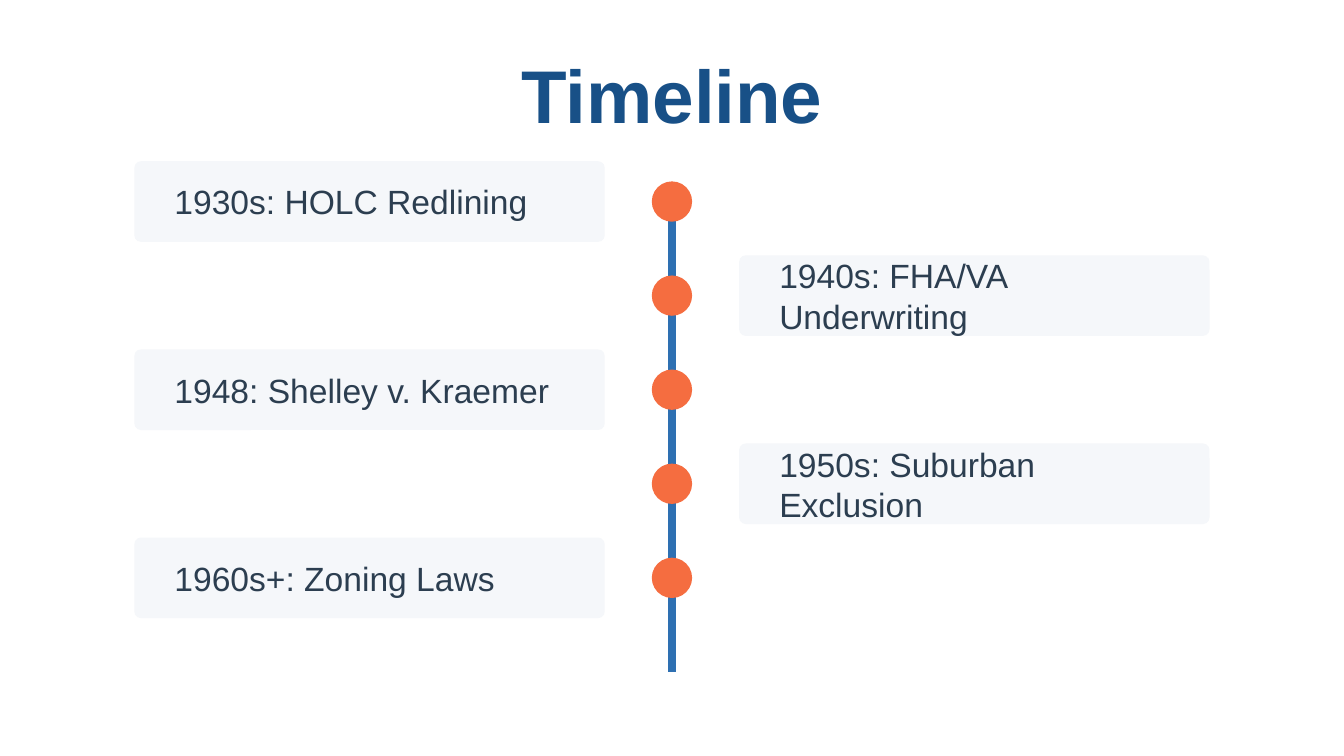
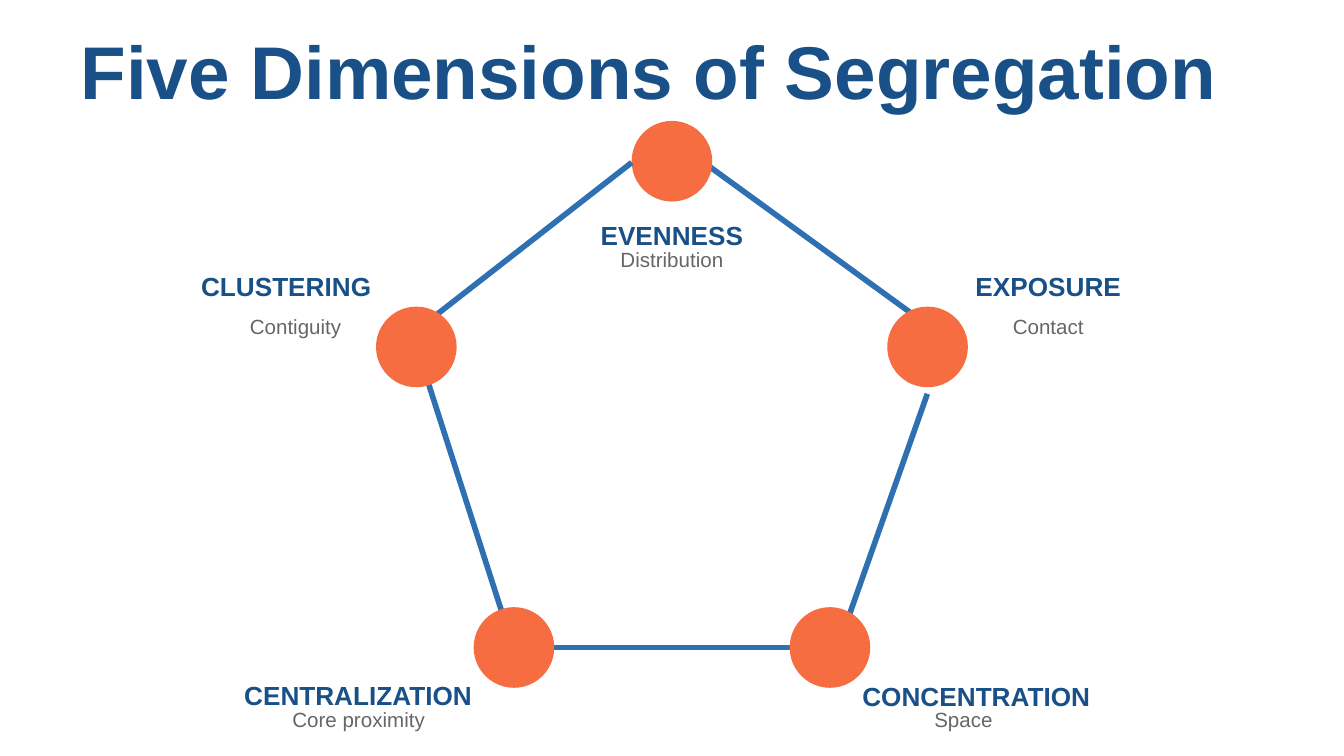
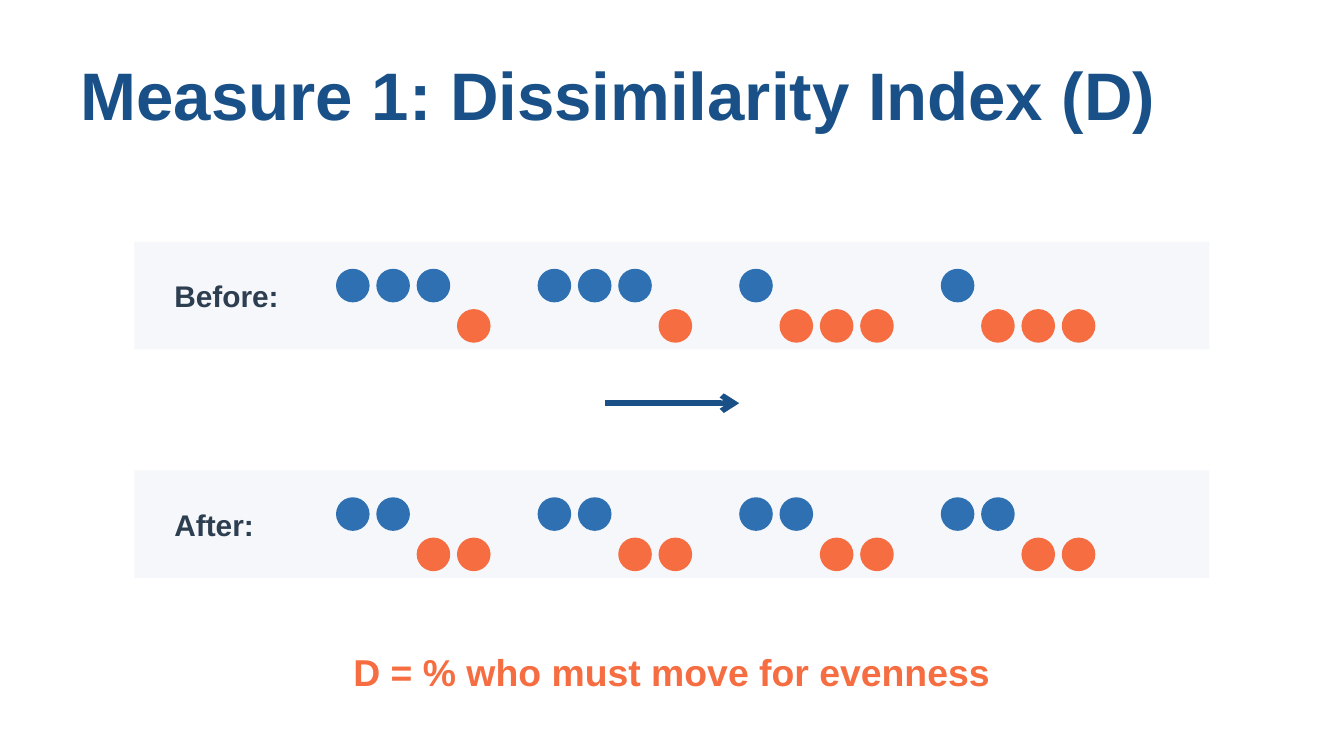
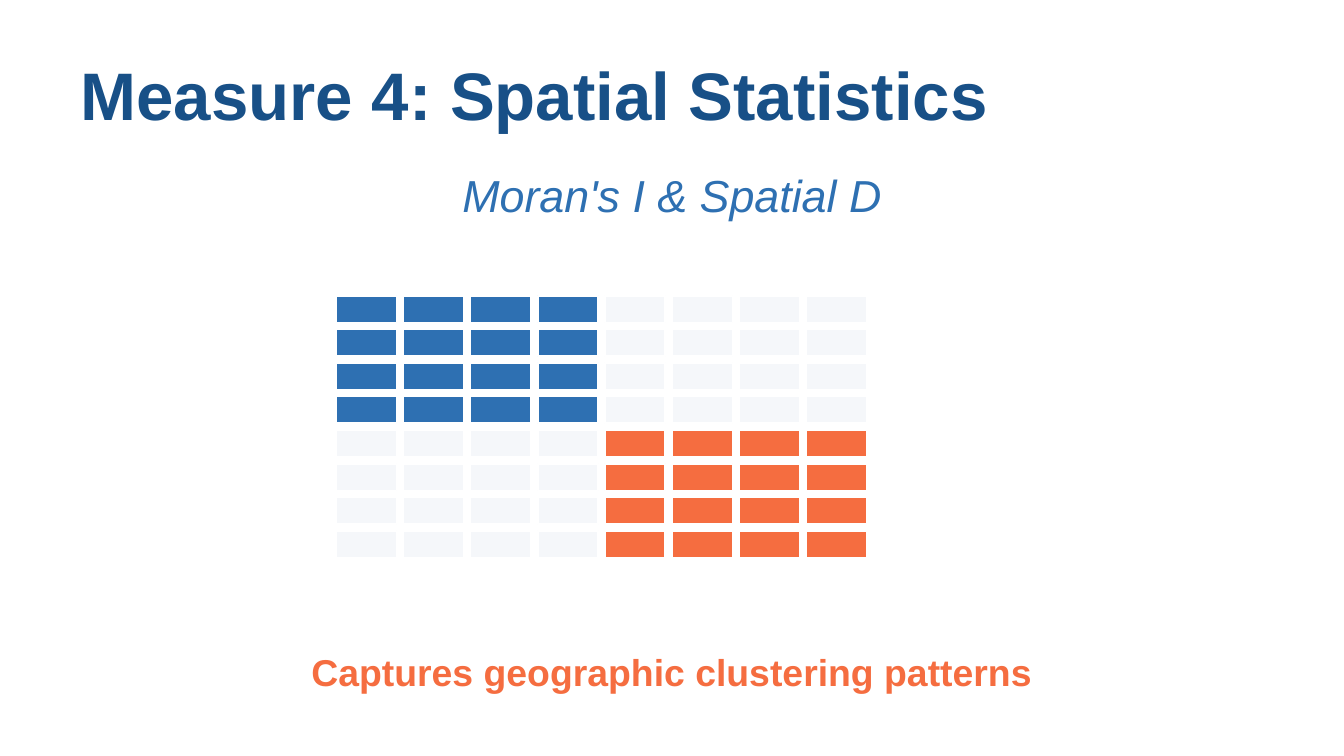
from math import cos, radians, sin

from lxml.etree import SubElement
from pptx import Presentation
from pptx.dml.color import RGBColor
from pptx.enum.shapes import MSO_CONNECTOR as CONN, MSO_SHAPE as SHAPE
from pptx.enum.text import MSO_ANCHOR as ANCHOR, MSO_AUTO_SIZE as FIT, PP_ALIGN as ALIGN
from pptx.oxml.ns import qn
from pptx.util import Pt

COLORS = {
    "navy": "185087",
    "blue": "2E70B2",
    "orange": "F56D40",
    "panel": "F5F7FA",
    "ink": "2C3E50",
    "gray": "666666",
    "white": "FFFFFF",
}
FONT = "Arial"


def rgb(name):
    return RGBColor.from_string(COLORS[name])


class Deck:
    def __init__(self):
        self.prs = Presentation()
        self.prs.slide_width, self.prs.slide_height = Pt(720), Pt(405)
        self.s = None

    def slide(self, title, size=36, y=21.6, align=ALIGN.LEFT):
        self.s = self.prs.slides.add_slide(self.prs.slide_layouts[5])
        sp = self.s.shapes.title
        sp.left, sp.top, sp.width, sp.height = Pt(36), Pt(y), Pt(648), Pt(57.6)
        self.fill_text(sp, title, size, "navy", align, bold=True)

    def fill_text(self, sp, text, size, color, align, bold=False, italic=False):
        tf = sp.text_frame
        tf.word_wrap = True
        tf.auto_size = FIT.NONE
        tf.vertical_anchor = ANCHOR.MIDDLE
        p = tf.paragraphs[0]
        p.alignment = align
        r = p.add_run()
        r.text = text
        r.font.name, r.font.size = FONT, Pt(size)
        r.font.bold, r.font.italic = bold, italic
        r.font.color.rgb = rgb(color)

    def text(self, x, y, w, h, text, size, color, align=ALIGN.LEFT, **style):
        sp = self.s.shapes.add_textbox(Pt(x), Pt(y), Pt(w), Pt(h))
        self.fill_text(sp, text, size, color, align, **style)

    def shape(self, kind, x, y, w, h, fill, line=None):
        sp = self.s.shapes.add_shape(kind, Pt(x), Pt(y), Pt(w), Pt(h))
        sp.shadow.inherit = False
        sp.fill.solid()
        sp.fill.fore_color.rgb = rgb(fill)
        if line:
            sp.line.color.rgb = rgb(line)
            sp.line.width = Pt(1)
        else:
            sp.line.fill.background()
        return sp

    def dot(self, x, y, size, fill):
        self.shape(SHAPE.OVAL, x, y, size, size, fill)

    def line(self, x1, y1, x2, y2, width=3, color="blue", arrow=False):
        cn = self.s.shapes.add_connector(CONN.STRAIGHT, Pt(x1), Pt(y1), Pt(x2), Pt(y2))
        cn.line.color.rgb = rgb(color)
        cn.line.width = Pt(width)
        props = cn.element.spPr
        if arrow:
            SubElement(props.find(qn("a:ln")), qn("a:tailEnd"), type="arrow")
        SubElement(props, qn("a:effectLst"))

    def takeaway(self, text):
        self.text(36, 345.6, 648, 28.8, text, 20, "orange", ALIGN.CENTER, bold=True)


def timeline(deck):
    deck.slide("Timeline", 40, align=ALIGN.CENTER)
    deck.line(360, 108, 360, 360, 4)
    events = [
        "1930s: HOLC Redlining",
        "1940s: FHA/VA Underwriting",
        "1948: Shelley v. Kraemer",
        "1950s: Suburban Exclusion",
        "1960s+: Zoning Laws",
    ]
    for i, event in enumerate(events):
        x, y = (72, 396)[i % 2], 86.4 + i * 50.4
        deck.dot(349.2, y + 10.8, 21.6, "orange")
        card = deck.shape(SHAPE.ROUNDED_RECTANGLE, x, y, 252, 43.2, "panel")
        card.adjustments[0] = 0.083
        deck.text(x + 14.4, y + 7.2, 223.2, 28.8, event, 18, "ink")


def dimensions(deck):
    deck.slide("Five Dimensions of Segregation", 40, y=8.6)
    radius, size = 144, 43.2
    items = [
        ("EVENNESS", (309.6, 115.2, 100.8), "Distribution", (309.6, 128.2),
         (367.2, 79.9, 504, 179.3)),
        ("EXPOSURE", (511.2, 142.6, 100.8), "Contact", (511.2, 164.2),
         (496.8, 211, 453.6, 333.4)),
        ("CONCENTRATION", (454.3, 362.2, 137.5), "Space", (465.8, 374.4),
         (275, 347, 445, 347)),
        ("CENTRALIZATION", (123.1, 361.4, 137.5), "Core proximity", (141.8, 374.4),
         (223.2, 185.8, 275, 347)),
        ("CLUSTERING", (97.9, 142.6, 110.9), "Contiguity", (108, 164.2),
         (234, 168.5, 338.4, 87.1)),
    ]
    for i, (name, name_at, meaning, meaning_at, edge) in enumerate(items):
        angle = radians(72 * i)
        x, y = 360 + radius * sin(angle), 230.4 - radius * cos(angle)
        deck.line(*edge)
        deck.dot(x - size / 2, y - size / 2, size, "orange")
        deck.text(*name_at, 21.6, name, 14, "navy", ALIGN.CENTER, bold=True)
        deck.text(*meaning_at, 100.8, 21.6, meaning, 11, "gray", ALIGN.CENTER)


def area_row(deck, y, label, blue_counts):
    deck.shape(SHAPE.RECTANGLE, 72, y, 576, 57.6, "panel")
    deck.text(86.4, y + 14.4, 72, 28.8, label, 16, "ink", bold=True)
    for area, blues in enumerate(blue_counts):
        for i in range(4):
            fill, dy = ("blue", 14.4) if i < blues else ("orange", 36)
            deck.dot(180 + area * 108 + i * 21.6, y + dy, 18, fill)


def dissimilarity(deck):
    deck.slide("Measure 1: Dissimilarity Index (D)")
    area_row(deck, 129.6, "Before:", (3, 3, 1, 1))
    deck.line(324, 216, 396, 216, color="navy", arrow=True)
    area_row(deck, 252, "After:", (2, 2, 2, 2))
    deck.takeaway("D = % who must move for evenness")


def spatial(deck):
    deck.slide("Measure 4: Spatial Statistics")
    deck.text(36, 86.4, 648, 36, "Moran's I & Spatial D", 24, "blue", ALIGN.CENTER, italic=True)
    clusters = {(True, True): "blue", (False, False): "orange"}
    for row in range(8):
        for col in range(8):
            fill = clusters.get((row < 4, col < 4), "panel")
            deck.shape(SHAPE.RECTANGLE, 180 + col * 36, 158.4 + row * 18, 32.4, 14.4, fill, "white")
    deck.takeaway("Captures geographic clustering patterns")


def main():
    deck = Deck()
    for build in (timeline, dimensions, dissimilarity, spatial):
        build(deck)
    deck.prs.save("out.pptx")


if __name__ == "__main__":
    main()
